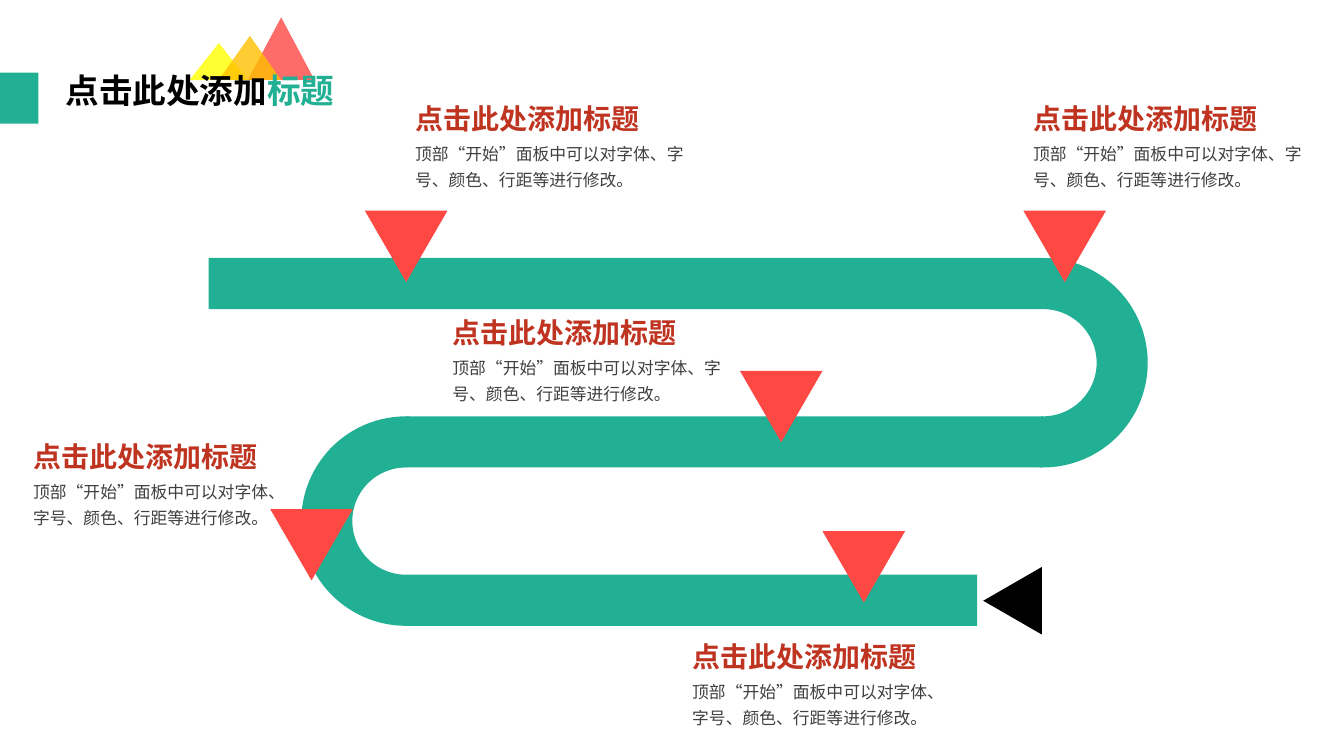
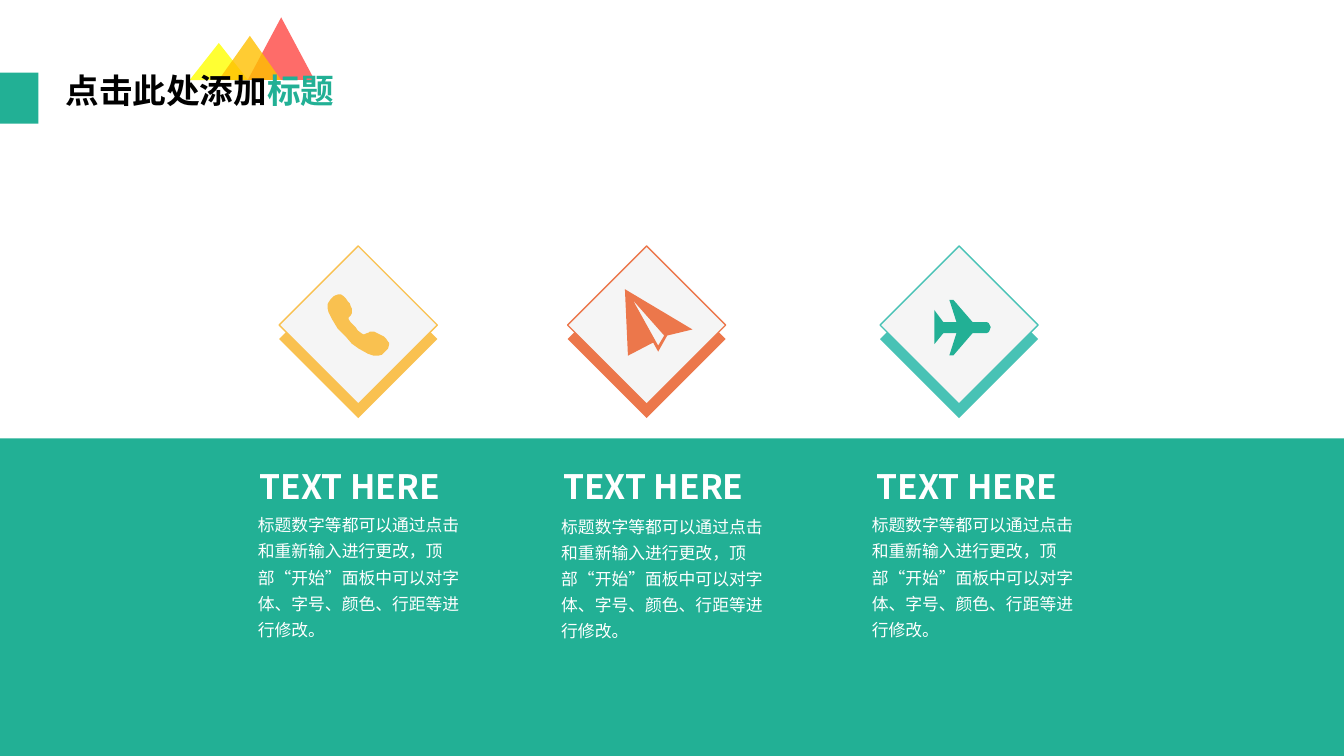
import dataclasses

import lxml.etree
import pptx
import pptx.dml.color
import pptx.enum.shapes
import pptx.enum.text
import pptx.oxml.ns
import pptx.util

Pt = pptx.util.Pt
Kind = pptx.enum.shapes.MSO_SHAPE
qn = pptx.oxml.ns.qn


@dataclasses.dataclass(frozen=True)
class Theme:
    font: str = "Noto Sans CJK SC"
    teal: str = "22B095"
    mint: str = "48C2B5"
    red: str = "FE4844"
    brick: str = "BF3420"
    yellow: str = "FFFF00"
    amber: str = "FFC000"
    gold: str = "F9C150"
    coral: str = "EC774B"
    pale: str = "F5F5F5"
    gray: str = "404040"
    black: str = "000000"
    white: str = "FFFFFF"
    title: int = 24
    head: int = 20
    body: int = 12


theme = Theme()

# Shared content: lengths in points
WIDTH, HEIGHT = 960, 540
TITLE = [("点击此处添加", theme.black), ("标题", theme.teal)]
TITLE_BOX = (39.6, 49.7, 219, 50.4)
TAB = (0, 52, 27.4, 36.4)
PEAKS = [
    ((177.1, 12.4, 47.5, 44.6), theme.red),
    ((135.4, 30.7, 41.8, 26.5), theme.yellow),
    ((156.2, 25.6, 44.6, 31.5), theme.amber),
]

# Road slide
NOTE_HEAD = "点击此处添加标题"
NOTE_BODY = "顶部“开始”面板中可以对字体、字号、颜色、行距等进行修改。"
NOTES = [  # left, top, body width
    (730.8, 69.1, 212.4),
    (289.4, 69.1, 212.4),
    (316.1, 221.8, 212.4),
    (16.6, 310.3, 198.7),
    (487.4, 452.9, 198.7),
]
PINS = [(260.6, 150.5), (731, 150.5), (528.5, 264.9), (193, 363.6), (587.5, 379.4)]
PIN_W, PIN_H = 59, 51
LANES = [(149, 745), (290, 745), (290, 698)]  # left and right ends
BENDS = [(745, 90), (290, 270)]  # centre and turn
ROAD_TOP, ROAD_H, PITCH = 184.3, 36.5, 113.1
END = (699.1, 408.2, 48.2, 41.8)

# Icon outlines, in hundredths of an inch
PHONE = [[
    (58, 44), (56, 42), (52, 40), (48, 38), (46, 37), (42, 37), (41, 38),
    (38, 39), (36, 40), (34, 39), (30, 36), (28, 33), (23, 28), (21, 25),
    (21, 23), (23, 21), (24, 19), (24, 14), (23, 12), (22, 9), (20, 7),
    (18, 4), (16, 2), (13, 0), (11, 0), (8, 1), (6, 2), (3, 5), (1, 8),
    (0, 10), (0, 14), (1, 18), (4, 24), (10, 34), (18, 42), (24, 49),
    (31, 54), (40, 59), (46, 61), (50, 61), (54, 60), (57, 57), (60, 54),
    (61, 50), (61, 48), (60, 47),
]]
PAPER = [
    [(0, 0), (3, 66), (28, 53), (33, 62), (42, 46), (67, 40)],
    [(33, 56), (8, 11), (39, 46)],
]
JET = [[
    (0, 33), (0, 10), (9, 22), (22, 22), (15, 0), (19, 0), (38, 22), (49, 22),
    (52, 22), (54, 23), (55, 25), (56, 27), (55, 30), (54, 32), (52, 33),
    (49, 33), (38, 33), (19, 55), (15, 55), (22, 33), (9, 33), (0, 44),
]]

# Icon slide
CARD_HEAD = "TEXT HERE"
CARD_BODY = "标题数字等都可以通过点击和重新输入进行更改，顶部“开始”面板中可以对字体、字号、颜色、行距等进行修改。"
CARDS = [  # diamond left, head left, body left, body top, colour, icon
    (199.4, 178.6, 177.1, 360, theme.gold, PHONE, (234, 210.2), theme.gold),
    (405.4, 395.3, 393.8, 361, theme.coral, PAPER, (446.4, 206.6), theme.coral),
    (628.6, 619.2, 615.6, 360, theme.mint, JET, (667.4, 214.2), theme.teal),
]
GEM, GEM_TOP, GEM_DROP = 113, 175.7, 10
BAND_TOP, HEAD_TOP = 313.2, 329


def rgb(code):
    return pptx.dml.color.RGBColor.from_string(code)


def paint(shape, color, line=None, alpha=None):
    shape.shadow.inherit = False
    shape.fill.solid()
    shape.fill.fore_color.rgb = rgb(color)
    if alpha:
        tint = shape.element.spPr.find(".//" + qn("a:srgbClr"))
        lxml.etree.SubElement(tint, qn("a:alpha"), val=str(alpha * 1000))
    if line:
        shape.line.color.rgb = rgb(line)
        shape.line.width = Pt(1)
    else:
        shape.line.fill.background()
    return shape


def draw(shapes, kind, box, color, turn=0, **look):
    shape = shapes.add_shape(kind, *map(Pt, box))
    shape.rotation = turn
    return paint(shape, color, **look)


def trace(shapes, loops, spot, color):
    (start, *rest), *holes = loops
    pen = shapes.build_freeform(*start, scale=Pt(0.72))
    pen.add_line_segments(rest, close=True)
    for first, *more in holes:
        pen.move_to(*first)
        pen.add_line_segments(more, close=True)
    paint(pen.convert_to_shape(*map(Pt, spot)), color)


def write(frame, runs, size, bold=False, space=1.0):
    para = frame.paragraphs[0]
    para.alignment = pptx.enum.text.PP_ALIGN.LEFT
    para.line_spacing = space
    for text, color in runs:
        run = para.add_run()
        run.text = text
        run.font.size = Pt(size)
        run.font.bold = bold
        run.font.color.rgb = rgb(color)
        run.font.name = theme.font
        props = run.font.name and run._r.get_or_add_rPr()
        lxml.etree.SubElement(props, qn("a:ea"), typeface=theme.font)


def label(slide, box, text, color, size, **look):
    frame = slide.shapes.add_textbox(*map(Pt, box)).text_frame
    frame.word_wrap = True
    write(frame, [(text, color)], size, **look)


def place(shape, box):
    shape.left, shape.top, shape.width, shape.height = map(Pt, box)


def dress(layout, slide):
    """Put the shared marks and the title frame on the layout."""
    group = slide.shapes.add_group_shape()
    for box, color in PEAKS:
        draw(group.shapes, Kind.ISOSCELES_TRIANGLE, box, color, alpha=80)
    tab = draw(slide.shapes, Kind.RECTANGLE, TAB, theme.teal)
    for mark in (group, tab):
        layout.shapes.element.append(mark.element)
    title = layout.placeholders[0]
    place(title, TITLE_BOX)
    title.text_frame.vertical_anchor = pptx.enum.text.MSO_ANCHOR.TOP
    title.text_frame.auto_size = pptx.enum.text.MSO_AUTO_SIZE.NONE


def start(deck, layout):
    slide = deck.slides.add_slide(layout)
    write(slide.shapes.title.text_frame, TITLE, theme.title, bold=True, space=0.9)
    return slide


def road(slide):
    # Lanes and bends
    group = slide.shapes.add_group_shape().shapes
    for row, (left, right) in enumerate(LANES):
        box = (left, ROAD_TOP + row * PITCH, right - left, ROAD_H)
        draw(group, Kind.RECTANGLE, box, theme.teal)
    size = PITCH + ROAD_H
    for row, (mid, turn) in enumerate(BENDS):
        box = (mid - size / 2, ROAD_TOP + row * PITCH, size, size)
        bend = draw(group, Kind.BLOCK_ARC, box, theme.teal, turn)
        for spot, value in enumerate((108, 1.14, ROAD_H / size)):
            bend.adjustments[spot] = value
    # Markers
    draw(slide.shapes, Kind.ISOSCELES_TRIANGLE, END, theme.black, 270)
    for left, top in PINS:
        box = (left, top, PIN_W, PIN_H)
        draw(slide.shapes, Kind.ISOSCELES_TRIANGLE, box, theme.red, 180)
    # Notes
    for left, top, width in NOTES:
        label(slide, (left, top + 25.9, width, 45), NOTE_BODY, theme.gray,
              theme.body, space=1.3)
        label(slide, (left, top, 212.4, 31.5), NOTE_HEAD, theme.brick,
              theme.head, bold=True)


def icons(slide):
    band = (0, BAND_TOP, WIDTH, HEIGHT - BAND_TOP)
    draw(slide.shapes, Kind.RECTANGLE, band, theme.teal)
    for gem, head, body, top, color, icon, spot, ink in CARDS:
        # Captions
        label(slide, (head, HEAD_TOP, 150, 36), CARD_HEAD, theme.white,
              theme.title, bold=True)
        label(slide, (body, top, 169.2, 101), CARD_BODY, theme.white,
              theme.body, space=1.3)
        # Diamond with its icon
        group = slide.shapes.add_group_shape().shapes
        draw(group, Kind.DIAMOND, (gem, GEM_TOP + GEM_DROP, GEM, GEM), color)
        draw(group, Kind.DIAMOND, (gem, GEM_TOP, GEM, GEM), theme.pale, line=color)
        trace(group, icon, spot, ink)


def main():
    deck = pptx.Presentation()
    deck.slide_width, deck.slide_height = Pt(WIDTH), Pt(HEIGHT)
    layout = deck.slide_layouts[5]
    slides = [start(deck, layout) for _ in range(2)]
    dress(layout, slides[0])
    road(slides[0])
    icons(slides[1])
    deck.save("out.pptx")


if __name__ == "__main__":
    main()
